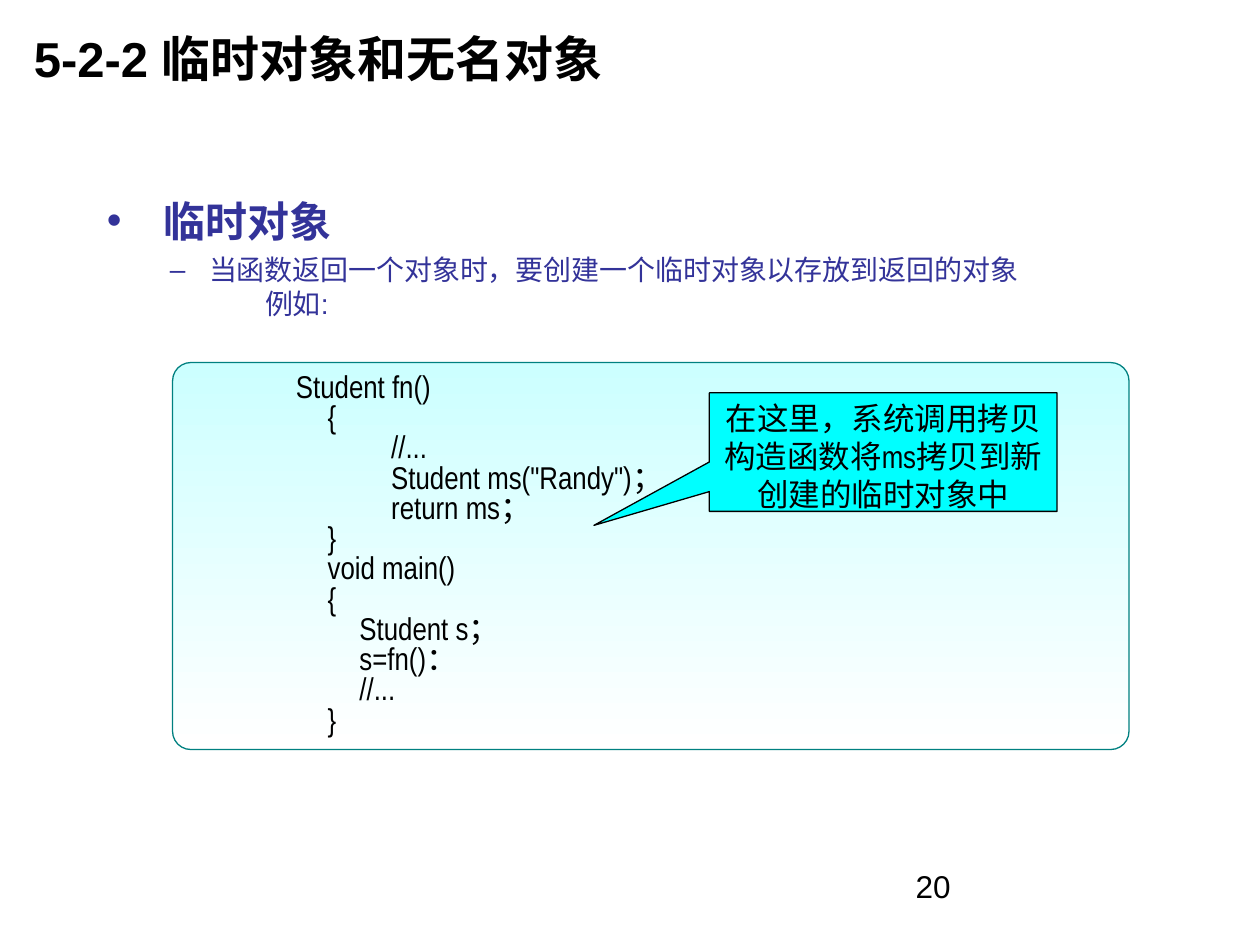
"""Build the slide on temporary and unnamed objects."""
from lxml import etree
from pptx import Presentation
from pptx import util as u
from pptx.dml import color
from pptx.enum import shapes, text
from pptx.oxml import ns

NAVY, BLACK, TEAL, CYAN, PALE, WHITE = "333399", "000000", "008080", "00FFFF", "CCFFFF", "FFFFFF"
CODE_LINES = [
    (0, "Student fn()"),
    (1, "{"),
    (3, "//..."),
    (3, 'Student ms("Randy")；'),
    (3, "return ms；"),
    (1, "}"),
    (1, "void main()"),
    (1, "{"),
    (2, "Student s；"),
    (2, "s=fn()："),
    (2, "//..."),
    (1, "}"),
]


def rgb(value):
    """Turn a hex string into a colour."""
    return color.RGBColor.from_string(value)


def write(frame, words, size=18, font="Arial", ink=BLACK, bold=False, align=text.PP_ALIGN.LEFT,
          before=0, spacing=1.0, level=0, margin=0, hanging=0, bullet=None):
    """Add one formatted paragraph to a text frame."""
    paragraph = frame.add_paragraph() if frame.text else frame.paragraphs[0]
    paragraph.level, paragraph.alignment = level, align
    paragraph.space_before, paragraph.line_spacing = u.Pt(before), spacing
    run = paragraph.add_run()
    run.text = words
    run.font.size, run.font.name, run.font.bold = u.Pt(size), font, bold
    run.font.color.rgb = rgb(ink)
    properties = paragraph._p.get_or_add_pPr()
    properties.set("marL", str(u.Cm(margin)))
    properties.set("indent", str(-u.Cm(hanging)))
    if bullet:
        etree.SubElement(properties, ns.qn("a:buChar")).set("char", bullet)
    else:
        etree.SubElement(properties, ns.qn("a:buNone"))


def place(part, left, top, width, height, anchor=text.MSO_ANCHOR.TOP):
    """Move a part to its box and return its prepared text frame."""
    part.left, part.top, part.width, part.height = map(u.Cm, (left, top, width, height))
    frame = part.text_frame
    frame.word_wrap, frame.auto_size = True, text.MSO_AUTO_SIZE.NONE
    frame.vertical_anchor = anchor
    return frame


def add_outlined(slide, preset, adjustments, outline):
    """Add a preset shape with a thin outline and no shadow."""
    panel = slide.shapes.add_shape(preset, 0, 0, 0, 0)
    for index, value in enumerate(adjustments):
        panel.adjustments[index] = value
    panel.shadow.inherit = False
    panel.line.color.rgb, panel.line.width = rgb(outline), u.Pt(0.74)
    return panel


def add_heading(slide, *box):
    """Fill the title placeholder."""
    frame = place(slide.shapes.title, *box, anchor=text.MSO_ANCHOR.MIDDLE)
    write(frame, "5-2-2 临时对象和无名对象", size=28, bold=True)


def add_explanation(slide, *box):
    """Fill the body placeholder with the topic and its explanation."""
    frame = place(slide.placeholders[1], *box)
    write(frame, " 临时对象", size=24, ink=NAVY, bold=True, before=6,
          margin=0.95, hanging=0.95, bullet="•")
    write(frame, "当函数返回一个对象时，要创建一个临时对象以存放到返回的对象", size=16, ink=NAVY,
          before=4, level=1, margin=2.06, hanging=0.79, bullet="–")
    write(frame, "例如:", size=16, ink=NAVY, level=1, margin=3.19)


def add_code(slide, left, top, width, height):
    """Add the code panel and the callout that points into it."""
    panel = add_outlined(slide, shapes.MSO_SHAPE.ROUNDED_RECTANGLE, [0.047], TEAL)
    panel.fill.gradient()
    panel.fill.gradient_angle = 270
    for stop, shade in zip(panel.fill.gradient_stops, (PALE, WHITE)):
        stop.color.rgb = rgb(shade)
    frame = place(panel, left, top, width, height)
    for depth, line in CODE_LINES:
        write(frame, line, font="Arial Narrow", spacing=0.8, margin=2.13 + 0.64 * depth)

    callout = add_outlined(slide, shapes.MSO_SHAPE.RECTANGULAR_CALLOUT, [-0.832, 0.618], BLACK)
    callout.fill.solid()
    callout.fill.fore_color.rgb = rgb(CYAN)
    note = place(callout, left + 10.82, top + 0.61, 7.01, 2.39)
    write(note, "在这里，系统调用拷贝构造函数将ms拷贝到新创建的临时对象中",
          font="Arial Narrow", align=text.PP_ALIGN.CENTER)


def add_page_number(slide, *box):
    """Add the page number."""
    write(place(slide.shapes.add_textbox(0, 0, 0, 0), *box), "20")


def build():
    """Assemble and save the slide."""
    deck = Presentation()
    deck.slide_width, deck.slide_height = u.Cm(25.4), u.Cm(19.05)
    slide = deck.slides.add_slide(deck.slide_layouts[1])
    add_heading(slide, 0.43, 0, 19.05, 2.34)
    add_explanation(slide, 1.9, 3.81, 21.59, 13.13)
    add_code(slide, 3.48, 7.31, 19.28, 7.8)
    add_page_number(slide, 18.21, 17.35, 5.92, 1.32)
    deck.save("out.pptx")


build()
